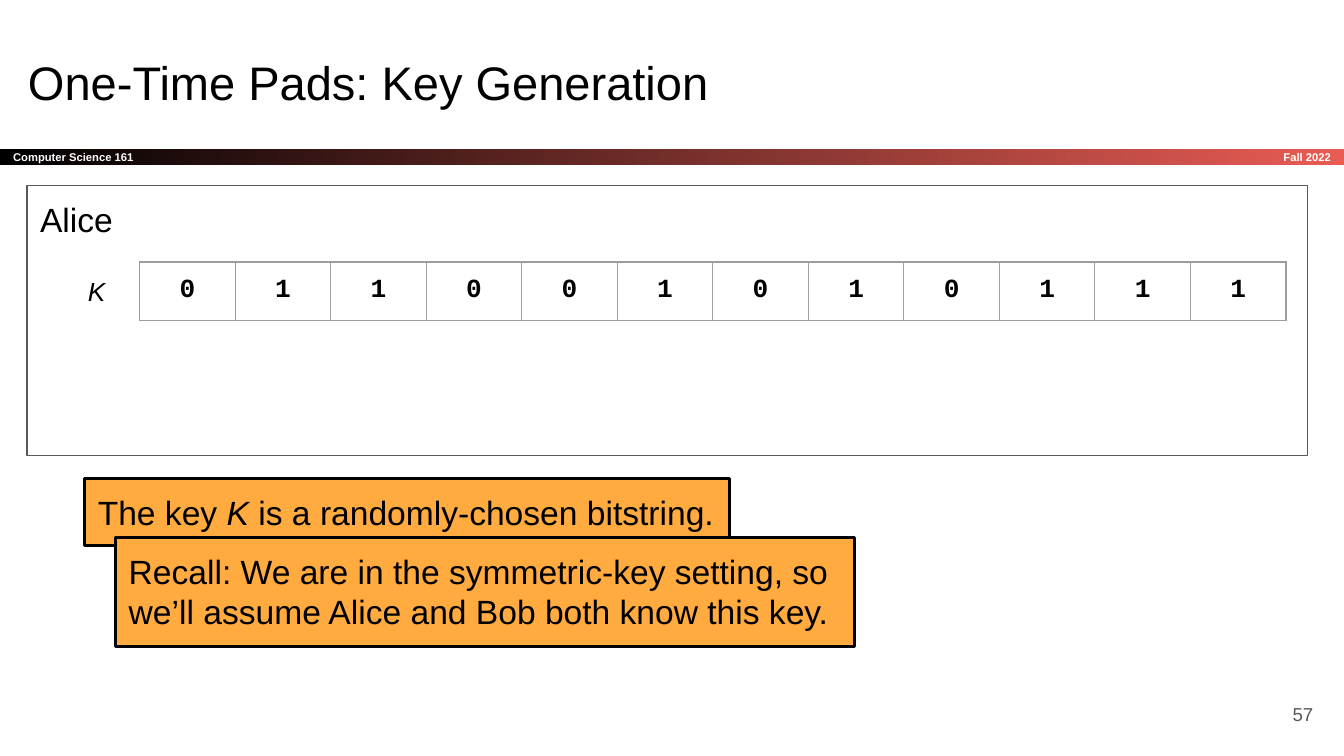
from pptx import Presentation
from pptx.dml.color import RGBColor
from pptx.enum.shapes import MSO_SHAPE as SHAPE
from pptx.enum.text import MSO_ANCHOR as ANCHOR, PP_ALIGN as ALIGN
from pptx.oxml import parse_xml
from pptx.oxml.ns import nsdecls
from pptx.util import Inches, Pt

COLORS = {
    "black": "000000",
    "white": "FFFFFF",
    "red": "E85C54",
    "gray": "595959",
    "border": "9E9E9E",
    "orange": "FFAB40",
}


def rgb(name):
    return RGBColor.from_string(COLORS[name])


def write(tf, text, size=18, color="black", font="Arial", bold=False,
          italic="", align=ALIGN.LEFT, anchor=ANCHOR.TOP, inset_y=0.1):
    tf.word_wrap = True
    tf.vertical_anchor = anchor
    tf.margin_left = tf.margin_right = Inches(0.1)
    tf.margin_top = tf.margin_bottom = Inches(inset_y)
    p = tf.paragraphs[0]
    p.alignment = align
    before, match, after = text.partition(italic) if italic else (text, "", "")
    for part, slanted in ((before, False), (match, True), (after, False)):
        if part:
            r = p.add_run()
            r.text = part
            r.font.name = font
            r.font.size = Pt(size)
            r.font.bold = bold
            r.font.italic = slanted
            r.font.color.rgb = rgb(color)


prs = Presentation()
prs.slide_width = Inches(10)
prs.slide_height = prs.slide_width * 9 // 16
s = prs.slides.add_slide(prs.slide_layouts[6])

bar = s.shapes.add_shape(SHAPE.RECTANGLE, Inches(0), Inches(1.11), Inches(10), Inches(0.12))
bar.shadow.inherit = False
bar.line.fill.background()
bar.fill.gradient()
bar.fill.gradient_angle = 0
for stop, name in zip(bar.fill.gradient_stops, ("black", "red")):
    stop.color.rgb = rgb(name)
write(bar.text_frame, "Computer Science 161", size=6, color="white", bold=True,
      anchor=ANCHOR.MIDDLE, inset_y=0)

alice = s.shapes.add_shape(SHAPE.RECTANGLE, Inches(0.2), Inches(1.38), Inches(9.53), Inches(2.01))
alice.shadow.inherit = False
alice.fill.background()
alice.line.color.rgb = rgb("gray")
alice.line.width = Pt(0.75)

labels = [
    ("Fall 2022", (8.34, 1.11, 1.66, 0.12),
     dict(size=6, color="white", bold=True, align=ALIGN.RIGHT, anchor=ANCHOR.MIDDLE, inset_y=0)),
    ("One-Time Pads: Key Generation", (0.11, 0.3, 9.32, 0.63), dict(size=25.2)),
    ("57", (9.27, 5.1, 0.6, 0.43),
     dict(size=10, color="gray", align=ALIGN.RIGHT, anchor=ANCHOR.MIDDLE)),
    ("Alice", (0.2, 1.38, 0.84, 0.5), dict()),
    ("K", (0.42, 1.95, 0.6, 0.44), dict(size=14, italic="K", align=ALIGN.CENTER)),
]
for text, box, style in labels:
    sp = s.shapes.add_textbox(*map(Inches, box))
    write(sp.text_frame, text, **style)

bits = "011001010111"
frame = s.shapes.add_table(1, len(bits), Inches(1.04), Inches(1.95), Inches(8.53), Inches(0.43))
table = frame.table
table.first_row = table.horz_banding = False
for i, bit in enumerate(bits):
    cell = table.cell(0, i)
    write(cell.text_frame, bit, size=14, font="Courier New", bold=True, align=ALIGN.CENTER)
    cell.margin_left = cell.margin_right = cell.margin_top = cell.margin_bottom = Inches(0.1)
    tcPr = cell._tc.get_or_add_tcPr()
    for side in ("lnL", "lnR", "lnT", "lnB"):
        tcPr.append(parse_xml(
            f'<a:{side} {nsdecls("a")} w="{Pt(0.75)}"><a:solidFill>'
            f'<a:srgbClr val="{COLORS["border"]}"/></a:solidFill></a:{side}>'))
    cell.fill.background()

notes = [
    ("The key K is a randomly-chosen bitstring.", (0.63, 3.56, 4.8, 0.5), "K"),
    ("Recall: We are in the symmetric-key setting, so we’ll assume Alice and Bob both know this key.",
     (0.86, 4, 5.5, 0.81), ""),
]
for text, box, italic in notes:
    sp = s.shapes.add_shape(SHAPE.RECTANGLE, *map(Inches, box))
    sp.shadow.inherit = False
    sp.fill.solid()
    sp.fill.fore_color.rgb = rgb("orange")
    sp.line.color.rgb = rgb("black")
    sp.line.width = Pt(1.5)
    write(sp.text_frame, text, italic=italic)

prs.save("out.pptx")
